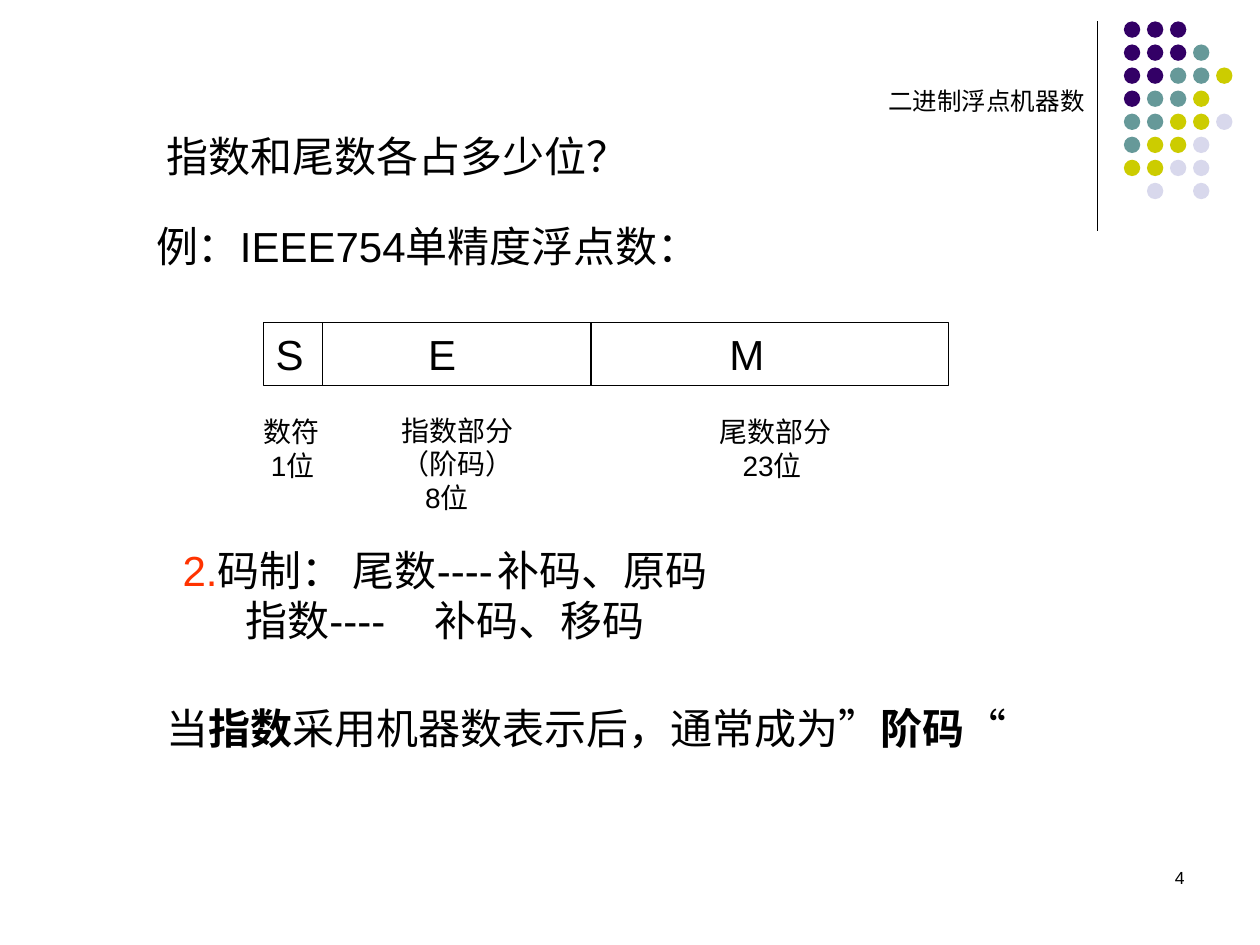
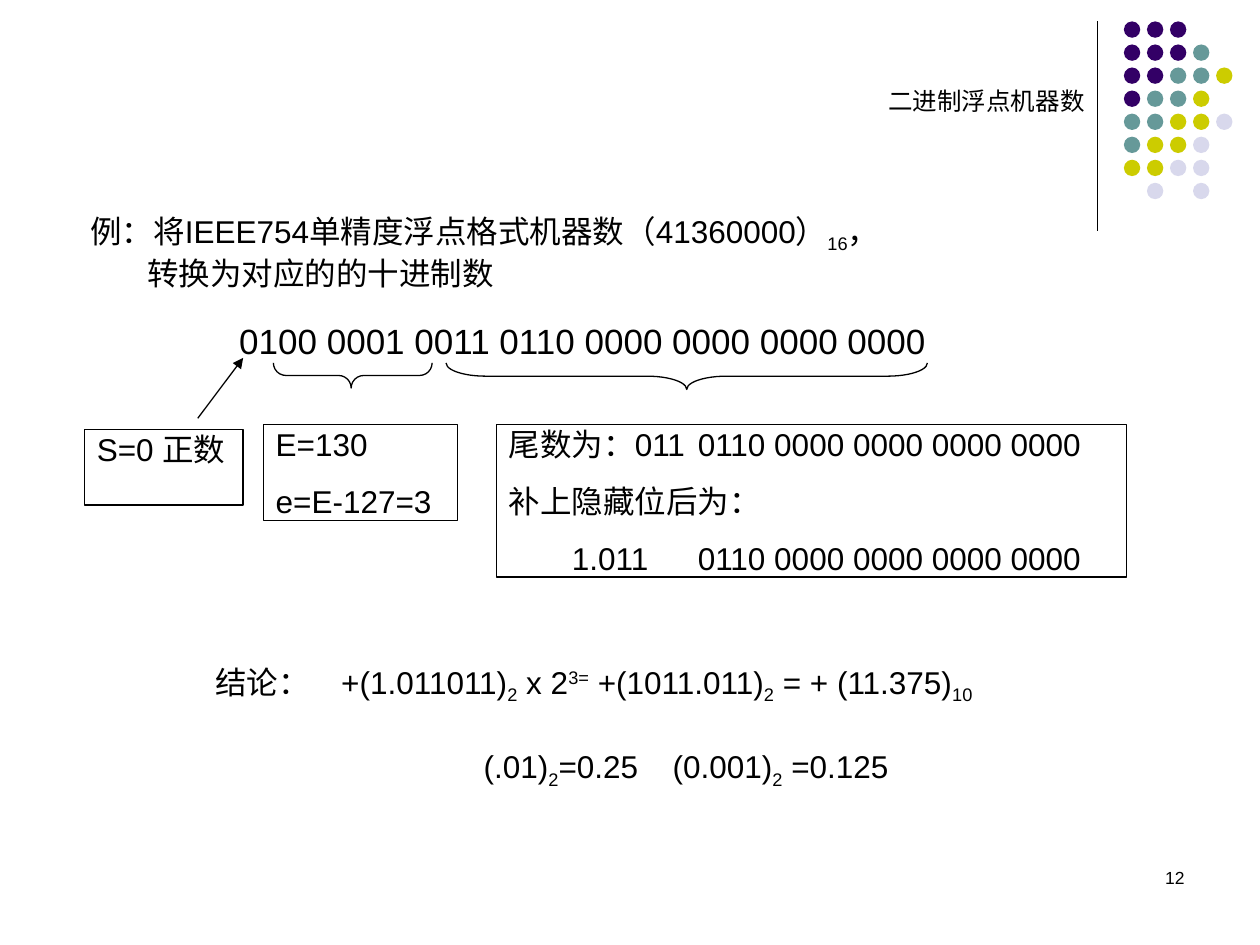
from dataclasses import dataclass
from itertools import accumulate

from lxml import etree
from pptx import Presentation
from pptx import util as u
from pptx.dml.color import RGBColor
from pptx.enum import shapes, text
from pptx.oxml.ns import qn

# The slide is a grid of 100 columns and 75 rows of square cells.
COLUMNS, ROWS = 100, 75
CELL = u.Inches(0.1)

FONT = "Arial"
BLACK, ORANGE = "000000", "FF3300"
DOT_COLORS = {"P": "330066", "T": "669999", "Y": "CCCC00", "L": "D8D8EC"}
DOT_ROWS = ("PPP", "PPPT", "PPTTY", "PTTY", "TTYYL", "TYYL", "YYLL", " L L")
DOT_PITCH, DOT_SIZE = 1.83, 1.3
LINE_WIDTH = u.Pt(0.75)
PADDED, SIDES_ONLY, NO_INSET = (1, 0.5), (1, 0), (0, 0)


@dataclass
class Run:
    content: str
    bold: bool = False
    color: str = BLACK
    baseline: int = 0


@dataclass
class Line:
    """One paragraph; indent and tabs are in grid cells, before is in points."""
    runs: tuple
    indent: float = 0
    tabs: tuple = ()
    before: float = 0
    align: text.PP_ALIGN = text.PP_ALIGN.LEFT


def cells(*counts):
    return [round(count * CELL) for count in counts]


def rgb(color):
    return RGBColor.from_string(color)


def subscript(content):
    return Run(content, baseline=-25000)


def add_run(paragraph, item, size):
    style = Run(item) if isinstance(item, str) else item
    run = paragraph.add_run()
    run.text = style.content
    run.font.name = FONT
    run.font.size = u.Pt(size)
    run.font.bold = style.bold
    run.font.color.rgb = rgb(style.color)
    if style.baseline:
        run.font._element.set("baseline", str(style.baseline))


def format_paragraph(paragraph, line):
    properties = paragraph._p.get_or_add_pPr()
    properties.set("marL", str(cells(line.indent)[0]))
    properties.set("indent", "0")
    if line.tabs:
        tab_list = etree.SubElement(properties, qn("a:tabLst"))
        for position in cells(*line.tabs):
            etree.SubElement(tab_list, qn("a:tab"), pos=str(position), algn="l")
    paragraph.alignment = line.align
    if line.before:
        paragraph.space_before = u.Pt(line.before)


def write(shape, size, lines, inset):
    frame = shape.text_frame
    frame.word_wrap = True
    frame.vertical_anchor = text.MSO_ANCHOR.TOP
    frame.margin_left = frame.margin_right = cells(inset[0])[0]
    frame.margin_top = frame.margin_bottom = cells(inset[1])[0]
    for index, line in enumerate(lines):
        paragraph = frame.add_paragraph() if index else frame.paragraphs[0]
        format_paragraph(paragraph, line)
        for item in line.runs:
            add_run(paragraph, item, size)


def add_text(slide, place, size, *lines, inset=PADDED):
    write(slide.shapes.add_textbox(*cells(*place)), size, lines, inset)


def add_outline(slide, kind, place):
    shape = slide.shapes.add_shape(kind, *cells(*place))
    shape.shadow.inherit = False
    shape.fill.background()
    shape.line.color.rgb = rgb(BLACK)
    shape.line.width = LINE_WIDTH
    return shape


def add_box(slide, place, size, *lines, inset=SIDES_ONLY):
    box = add_outline(slide, shapes.MSO_SHAPE.RECTANGLE, place)
    write(box, size, lines, inset)


def add_brace(slide, left, top, width, depth, curve):
    """Add a brace that opens upwards, by turning a left brace a quarter."""
    shift = (width - depth) / 2
    place = (left + shift, top - shift, depth, width)
    brace = add_outline(slide, shapes.MSO_SHAPE.LEFT_BRACE, place)
    brace.rotation = 270
    brace.adjustments[0] = curve
    brace.adjustments[1] = 0.49 if curve < 1 else 0.5


def add_line(slide, start, end, arrow=False):
    line = slide.shapes.add_connector(
        shapes.MSO_CONNECTOR.STRAIGHT, *cells(*start, *end))
    line.line.color.rgb = rgb(BLACK)
    line.line.width = LINE_WIDTH
    if arrow:
        etree.SubElement(line.line._get_or_add_ln(), qn("a:tailEnd"), type="triangle")
    etree.SubElement(line._element.spPr, qn("a:effectLst"))


def add_dot(slide, column, row, color):
    place = (89.2 + column * DOT_PITCH, 1.7 + row * DOT_PITCH, DOT_SIZE, DOT_SIZE)
    dot = slide.shapes.add_shape(shapes.MSO_SHAPE.OVAL, *cells(*place))
    dot.shadow.inherit = False
    dot.fill.solid()
    dot.fill.fore_color.rgb = rgb(color)
    dot.line.fill.background()


def start_slide(presentation, number):
    """Add a slide with the shared dots, rule, title and page number."""
    slide = presentation.slides.add_slide(presentation.slide_layouts[6])
    add_line(slide, (87.1, 1.7), (87.1, 18.3))
    for row, marks in enumerate(DOT_ROWS):
        for column, mark in enumerate(marks):
            if mark in DOT_COLORS:
                add_dot(slide, column, row, DOT_COLORS[mark])
    add_text(slide, (70.5, 6.8, 18.1, 2.3), 14,
             Line(("二进制浮点机器数",), align=text.PP_ALIGN.JUSTIFY), inset=NO_INSET)
    add_text(slide, (71.7, 68.3, 23.3, 5), 10,
             Line((str(number),), align=text.PP_ALIGN.RIGHT))
    return slide


def add_fields(slide):
    names, widths, indents = "SEM", (4.7, 21.3, 28.4), (0, 7.4, 10)
    lefts = accumulate(widths, initial=20.9)
    for name, left, width, indent in zip(names, lefts, widths, indents):
        add_box(slide, (left, 25.6, width, 5), 24,
                Line((name,), indent=indent), inset=PADDED)


def build_format_slide(presentation):
    slide = start_slide(presentation, 4)
    add_text(slide, (12.2, 9.9, 40.2, 5), 24, Line(("指数和尾数各占多少位？",)))
    add_text(slide, (11.4, 17, 48, 5), 24, Line(("例：IEEE754单精度浮点数：",)))
    add_fields(slide)
    labels = (
        (20.9, 32.9, 5, ("数符",), "1位", 0.6),
        (31.9, 32.8, 10, ("指数部分", "（阶码）"), "8位", 1.85),
        (57.1, 32.9, 10, ("尾数部分",), "23位", 1.85),
    )
    for left, top, width, names, bits, indent in labels:
        lines = [Line((name,)) for name in names] + [Line((bits,), indent=indent)]
        add_text(slide, (left, top, width, 2.7 * len(lines)), 16, *lines, inset=NO_INSET)
    add_text(slide, (13.5, 42.7, 50.9, 9), 24,
             Line((Run("2.", color=ORANGE), "码制： 尾数----\t补码、原码"), tabs=(28.9,)),
             Line(("\t指数----\t补码、移码",), tabs=(10.5, 25)))
    add_text(slide, (12.2, 55.3, 69.3, 5), 24,
             Line(("当", Run("指数", bold=True), "采用机器数表示后，通常成为”",
                   Run("阶码", bold=True), "“")))


def build_example_slide(presentation):
    slide = start_slide(presentation, 12)
    add_text(slide, (6.2, 16.3, 69, 7.4), 18,
             Line(("例：将IEEE754单精度浮点格式机器数（41360000）", subscript("16"), "，")),
             Line(("转换为对应的的十进制数",), indent=4.5))
    add_text(slide, (17.3, 24.9, 59.1, 4.4), 20,
             Line(("0100 0001 0011 0110 0000 0000 0000 0000",), indent=0.7))
    add_brace(slide, 21.7, 28.8, 12.6, 2, curve=0.5)
    add_brace(slide, 35.4, 28.8, 38.2, 2.1, curve=1.5)
    add_line(slide, (15.7, 33.2), (19.3, 28.4), arrow=True)

    add_box(slide, (6.7, 34.1, 12.6, 6), 18, Line(("S=0 正数",)))
    add_box(slide, (20.9, 33.7, 15.4, 7.6), 18,
            Line(("E=130",)), Line(("e=E-127=3",), before=11.2))
    add_box(slide, (39.4, 33.7, 50, 12.1), 18,
            Line(("尾数为：011\t0110 0000 0000 0000 0000",), tabs=(15.8,)),
            Line(("补上隐藏位后为：",), before=11.2),
            Line(("\t1.011\t0110 0000 0000 0000 0000",), tabs=(8.2, 15.6), before=11.2))

    add_text(slide, (16.1, 52.1, 66.9, 4.4), 18,
             Line(("结论：\t+(1.011011)", subscript("2"), " x 2", Run("3=", baseline=30000),
                   " +(1011.011)", subscript("2"), " = + (11.375)", subscript("10")),
                  tabs=(9.1,)))
    add_text(slide, (37.4, 58.8, 38.6, 4.4), 18,
             Line(("(.01)", subscript("2"), "=0.25\t(0.001)", subscript("2"), " =0.125"),
                  tabs=(15,)))


def main():
    presentation = Presentation()
    presentation.slide_width, presentation.slide_height = cells(COLUMNS, ROWS)
    build_format_slide(presentation)
    build_example_slide(presentation)
    presentation.save("out.pptx")


if __name__ == "__main__":
    main()
